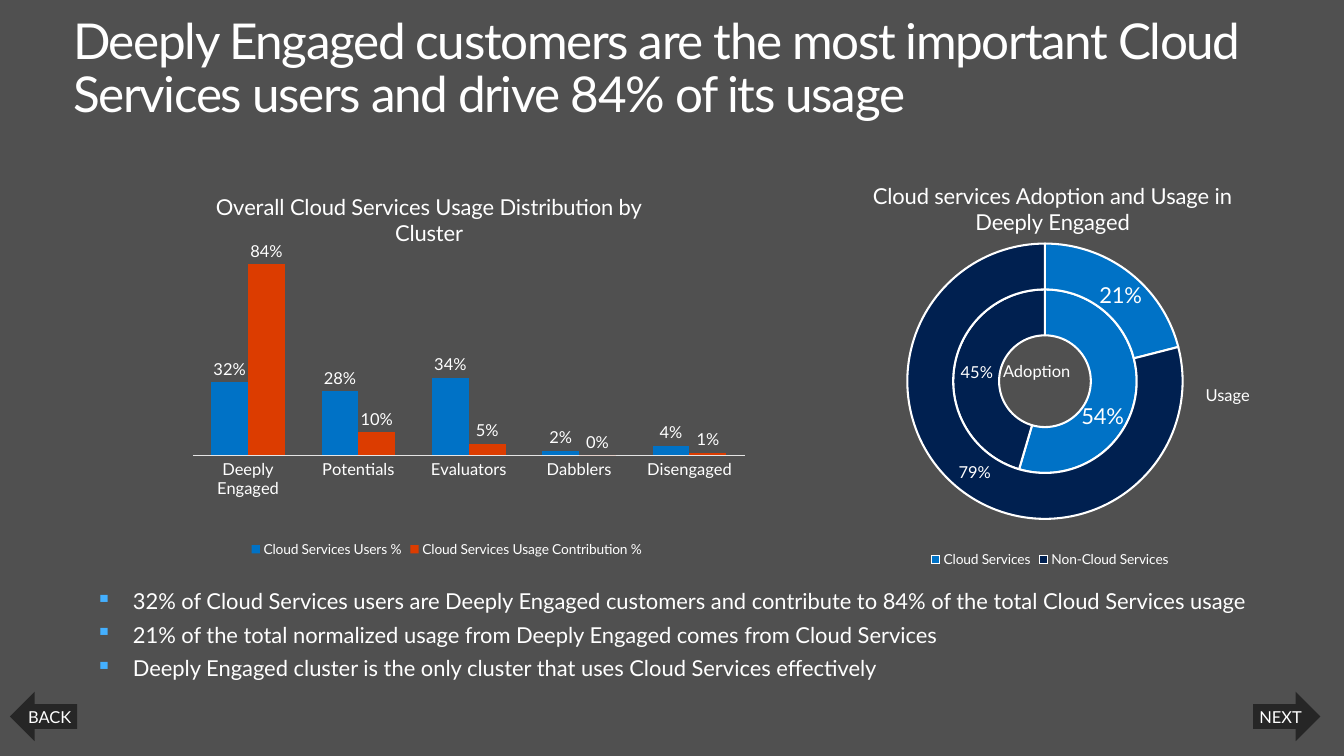
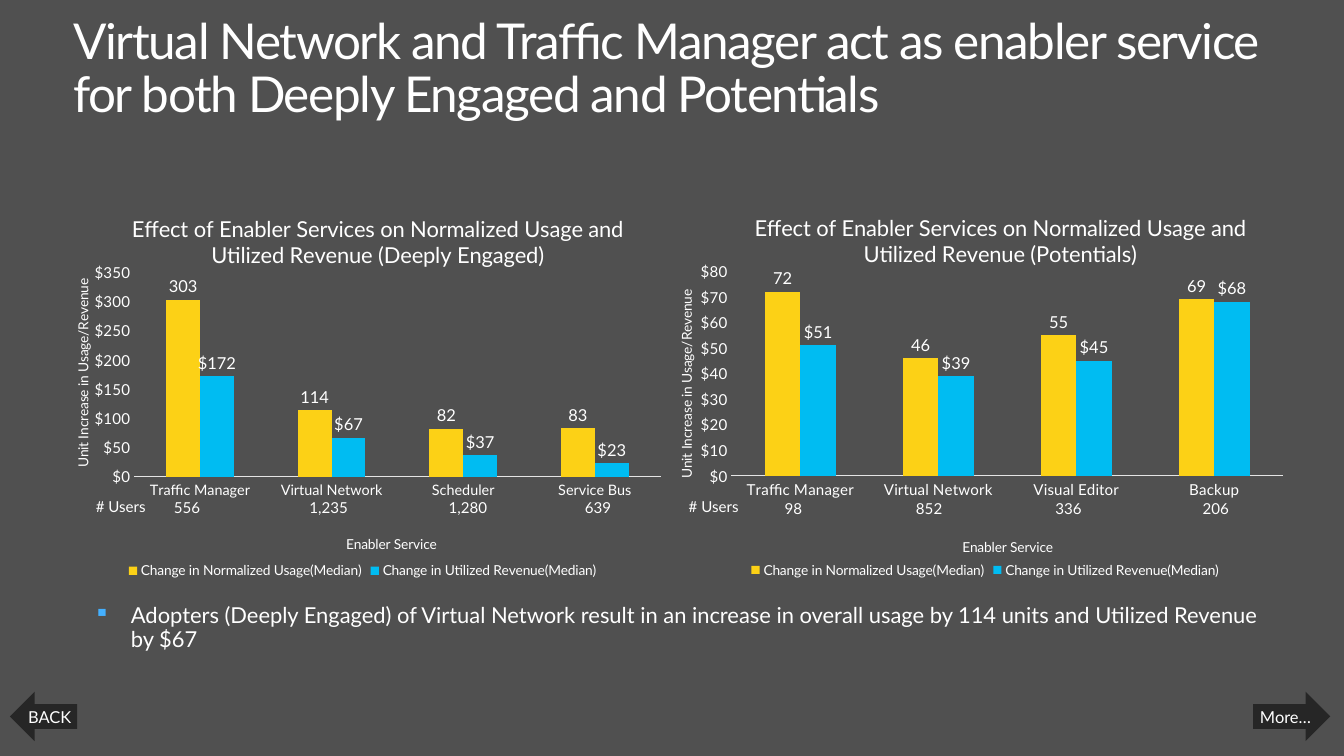
from lxml import etree
from pptx import Presentation
from pptx.chart.data import CategoryChartData
from pptx.dml.color import RGBColor
from pptx.enum import chart as charts, shapes, text
from pptx.oxml import ns
from pptx.util import Pt

FONT = "Lato"
WHITE = RGBColor(0xFF, 0xFF, 0xFF)
BACKGROUND = RGBColor(0x50, 0x50, 0x50)
ARROW_FILL = RGBColor(0x26, 0x26, 0x26)
AXIS_LINE = RGBColor(0xE5, 0xE5, 0xE5)
BULLET = RGBColor(0x44, 0xB0, 0xFF)
BLUE = RGBColor(0x00, 0x72, 0xC6)
NAVY = RGBColor(0x00, 0x20, 0x50)
ORANGE = RGBColor(0xDC, 0x3C, 0x00)
YELLOW = RGBColor(0xFC, 0xD1, 0x16)
CYAN = RGBColor(0x00, 0xBC, 0xF2)
PERCENT, DOLLAR, COUNT = "0%", '"$"#,##0', "#,##0"
CHART_SIZE = (462.2, 286.6)


def style_font(font, size):
    font.name = FONT
    font.size = Pt(size)
    font.bold = False
    font.color.rgb = WHITE


def add_text(slide, box, lines, size, insets=(14.4, 11.5, 14.4, 11.5)):
    shape = slide.shapes.add_textbox(*map(Pt, box))
    frame = shape.text_frame
    frame.word_wrap = True
    (frame.margin_left, frame.margin_top,
     frame.margin_right, frame.margin_bottom) = map(Pt, insets)
    for index, line in enumerate(lines):
        paragraph = frame.add_paragraph() if index else frame.paragraphs[0]
        paragraph.text = line
        paragraph.line_spacing = 0.9
        style_font(paragraph.font, size)
    return frame


def add_title(slide, title):
    frame = add_text(slide, (41.8, 5, 895.7, 78.5), [title], 36, (11.5, 7.2, 11.5, 7.2))
    for run in frame.paragraphs[0].runs:
        run._r.get_or_add_rPr().set("spc", "-100")


def add_label(slide, left, top, width, label, size):
    add_text(slide, (left, top, width, 35.5), [label], size, (14.4, 11.5, 0, 11.5))


def add_bullets(slide, box, lines):
    frame = add_text(slide, box, lines, 16)
    for index, paragraph in enumerate(frame.paragraphs):
        properties = paragraph._p.get_or_add_pPr()
        properties.set("marL", str(Pt(27)))
        properties.set("indent", str(-Pt(27)))
        if index:
            paragraph.space_before = Pt(7)
        color = etree.Element(ns.qn("a:buClr"))
        etree.SubElement(color, ns.qn("a:srgbClr")).set("val", str(BULLET))
        character = etree.Element(ns.qn("a:buChar"))
        character.set("char", "▪")
        defaults = properties.find(ns.qn("a:defRPr"))
        defaults.addprevious(color)
        defaults.addprevious(character)


def add_arrow(slide, kind, left, width, label):
    shape = slide.shapes.add_shape(kind, Pt(left), Pt(504), Pt(width), Pt(36))
    shape.shadow.inherit = False
    shape.fill.solid()
    shape.fill.fore_color.rgb = ARROW_FILL
    shape.line.fill.background()
    frame = shape.text_frame
    frame.margin_left = frame.margin_right = Pt(3.6)
    frame.margin_top = frame.margin_bottom = Pt(3.6)
    frame.vertical_anchor = text.MSO_ANCHOR.MIDDLE
    paragraph = frame.paragraphs[0]
    paragraph.text = label
    paragraph.alignment = text.PP_ALIGN.CENTER
    style_font(paragraph.font, 12)


def set_layout(parent, position, **settings):
    for existing in parent.findall(ns.qn("c:layout")):
        parent.remove(existing)
    layout = etree.Element(ns.qn("c:layout"))
    manual = etree.SubElement(layout, ns.qn("c:manualLayout"))
    for name, value in settings.items():
        etree.SubElement(manual, ns.qn("c:" + name)).set("val", str(value))
    parent.insert(position, layout)


def set_plot_area(chart, x, y, w, h):
    set_layout(chart._chartSpace.chart.plotArea, 0, layoutTarget="inner",
               xMode="edge", yMode="edge", x=x, y=y, w=w, h=h)


def write_chart_text(title, label, size, x, y, vertical=False):
    frame = title.text_frame
    paragraph = frame.paragraphs[0]
    paragraph.text = label
    style_font(paragraph.font, size)
    if vertical:
        body = frame._txBody.find(ns.qn("a:bodyPr"))
        body.set("rot", "-5400000")
        body.set("vert", "horz")
    set_layout(title._element, 1, xMode="edge", yMode="edge", x=x, y=y)


def show_values(series, number_format):
    labels = series.data_labels
    labels.show_value = True
    labels.number_format = number_format
    labels.number_format_is_linked = False
    style_font(labels.font, 12)
    return labels


def add_chart(slide, kind, box, title, title_at, categories, series, number_format):
    data = CategoryChartData(number_format=number_format)
    data.categories = categories
    for name, values in series:
        data.add_series(name, values)
    chart = slide.shapes.add_chart(kind, *map(Pt, box), data).chart
    style_font(chart.font, 10)
    chart.has_title = True
    write_chart_text(chart.chart_title, title, 16, *title_at)
    chart.chart_title.include_in_layout = False
    chart.has_legend = True
    chart.legend.position = charts.XL_LEGEND_POSITION.BOTTOM
    chart.legend.include_in_layout = False
    style_font(chart.legend.font, 10)
    return chart


def add_column_chart(slide, left, top, title, categories, series, colors, formats,
                     plot_left, plot_width, gap, maximum, category_size):
    chart = add_chart(slide, charts.XL_CHART_TYPE.COLUMN_CLUSTERED, (left, top, *CHART_SIZE),
                      title, (0.13, 0.05), categories, series, formats[-1])
    set_plot_area(chart, plot_left, 0.21, plot_width, 0.52)
    plot = chart.plots[0]
    plot.vary_by_categories = False
    plot.gap_width = gap
    plot.overlap = 0
    for column, color, number_format in zip(plot.series, colors, formats):
        column.format.fill.solid()
        column.format.fill.fore_color.rgb = color
        column.invert_if_negative = False
        labels = show_values(column, number_format)
        labels.position = charts.XL_LABEL_POSITION.OUTSIDE_END
    category_axis, value_axis = chart.category_axis, chart.value_axis
    for axis, size in ((category_axis, category_size), (value_axis, 11)):
        axis.has_major_gridlines = False
        axis.major_tick_mark = axis.minor_tick_mark = charts.XL_TICK_MARK.NONE
        style_font(axis.tick_labels.font, size)
    category_axis.format.line.color.rgb = AXIS_LINE
    category_axis.format.line.width = Pt(0.75)
    value_axis.format.line.fill.background()
    value_axis.minimum_scale = 0
    value_axis.maximum_scale = maximum
    value_axis.tick_labels.number_format = formats[-1]
    value_axis.tick_labels.number_format_is_linked = False
    return chart


def add_enabler_chart(slide, left, top, cluster, services, usage, revenue,
                      category_title_at, value_title_at, **options):
    chart = add_column_chart(
        slide, left, top,
        f"Effect of Enabler Services on Normalized Usage and Utilized Revenue ({cluster})",
        services,
        [("Change in Normalized Usage(Median)", usage),
         ("Change in Utilized Revenue(Median)", revenue)],
        (YELLOW, CYAN), (COUNT, DOLLAR), gap=189, **options)
    write_chart_text(chart.category_axis.axis_title, "Enabler Service", 10, *category_title_at)
    write_chart_text(chart.value_axis.axis_title, "Unit Increase in Usage/Revenue", 10,
                     *value_title_at, vertical=True)


def add_user_counts(slide, top, heading_left, counts):
    add_label(slide, heading_left, 357.8, 69.8, "# Users", 11)
    for left, count in counts:
        add_label(slide, left, top, 64, count, 11)


def add_adoption_doughnut(slide):
    chart = add_chart(slide, charts.XL_CHART_TYPE.DOUGHNUT, (571, 116.6, 388.1, 300.2),
                      "Cloud services Adoption and Usage in Deeply Engaged", (0.16, 0.04),
                      ["Cloud Services", "Non-Cloud Services"],
                      [("Series 1", (0.54, 0.45)), ("Series 2", (0.21, 0.79))], PERCENT)
    set_plot_area(chart, 0.232, 0.202, 0.517, 0.67)
    plot = chart.plots[0]
    plot._element.find(ns.qn("c:holeSize")).set("val", "38")
    for ring, (x, y) in zip(plot.series, ((-0.02, 0.06), (0.01, 0.01))):
        show_values(ring, PERCENT)
        for index, color in enumerate((BLUE, NAVY)):
            point_format = ring.points[index].format
            point_format.fill.solid()
            point_format.fill.fore_color.rgb = color
            point_format.line.color.rgb = WHITE
            point_format.line.width = Pt(1.5)
        style_font(ring.points[0].data_label.font, 16)
        set_layout(next(ring._element.iter(ns.qn("c:dLbl"))), 1, x=x, y=y)


def add_slide(presentation, title, next_label, next_width):
    slide = presentation.slides.add_slide(presentation.slide_layouts[6])
    slide.background.fill.solid()
    slide.background.fill.fore_color.rgb = BACKGROUND
    add_title(slide, title)
    add_arrow(slide, shapes.MSO_SHAPE.LEFT_ARROW, 7.2, 49, "BACK")
    add_arrow(slide, shapes.MSO_SHAPE.RIGHT_ARROW, 913, next_width, next_label)
    return slide


def build_usage_slide(presentation):
    slide = add_slide(
        presentation,
        "Deeply Engaged customers are the most important Cloud Services users "
        "and drive 84% of its usage", "NEXT", 49)
    add_adoption_doughnut(slide)
    chart = add_column_chart(
        slide, 94.3, 122.4, "Overall Cloud Services Usage Distribution by Cluster",
        ["Deeply Engaged", "Potentials", "Evaluators", "Dabblers", "Disengaged"],
        [("Cloud Services Users %", (0.32, 0.28, 0.34, 0.02, 0.04)),
         ("Cloud Services Usage Contribution %", (0.84, 0.1, 0.05, 0, 0.01))],
        (BLUE, ORANGE), (PERCENT, PERCENT),
        plot_left=0.1, plot_width=0.87, gap=100, maximum=0.9, category_size=12)
    chart.value_axis.visible = False
    add_label(slide, 716.4, 257.8, 80, "Adoption", 12)
    add_label(slide, 864, 275.8, 64.8, "Usage", 12)
    add_bullets(slide, (55.4, 419, 889.2, 98), [
        "32% of Cloud Services users are Deeply Engaged customers and contribute to 84% "
        "of the total Cloud Services usage",
        "21% of the total normalized usage from Deeply Engaged comes from Cloud Services",
        "Deeply Engaged cluster is the only cluster that uses Cloud Services effectively"])


def build_enabler_slide(presentation):
    slide = add_slide(
        presentation,
        "Virtual Network and Traffic Manager act as enabler service\v"
        "for both Deeply Engaged and Potentials", "More…", 56.2)
    add_enabler_chart(
        slide, 33.1, 138.2, "Deeply Engaged",
        ["Traffic Manager", "Virtual Network", "Scheduler", "Service Bus"],
        (303, 114, 82, 83), (172, 67, 37, 23), (0.47, 0.87), (0.04, 0.22),
        plot_left=0.14, plot_width=0.83, maximum=350, category_size=10.5)
    add_enabler_chart(
        slide, 486.7, 137.5, "Potentials",
        ["Traffic Manager", "Virtual Network", "Visual Editor", "Backup"],
        (72, 46, 55, 69), (51, 39, 45, 68), (0.46, 0.88), (0.01, 0.25),
        plot_left=0.1, plot_width=0.87, maximum=80, category_size=11)
    add_user_counts(slide, 358.6, 55.4, [
        (112.3, "556"), (211, "1,235"), (312.5, "1,280"), (411.8, "639")])
    add_user_counts(slide, 359.3, 487.4, [
        (557.3, "98"), (653, "852"), (754.6, "336"), (861.8, "206")])
    add_bullets(slide, (54, 429, 883.4, 68.4), [
        "Adopters (Deeply Engaged) of Virtual Network result in an increase in overall usage "
        "by 114 units and Utilized Revenue by $67"])


def main():
    presentation = Presentation()
    presentation.slide_width = Pt(979.2)
    presentation.slide_height = Pt(550.8)
    build_usage_slide(presentation)
    build_enabler_slide(presentation)
    presentation.save("out.pptx")


if __name__ == "__main__":
    main()
